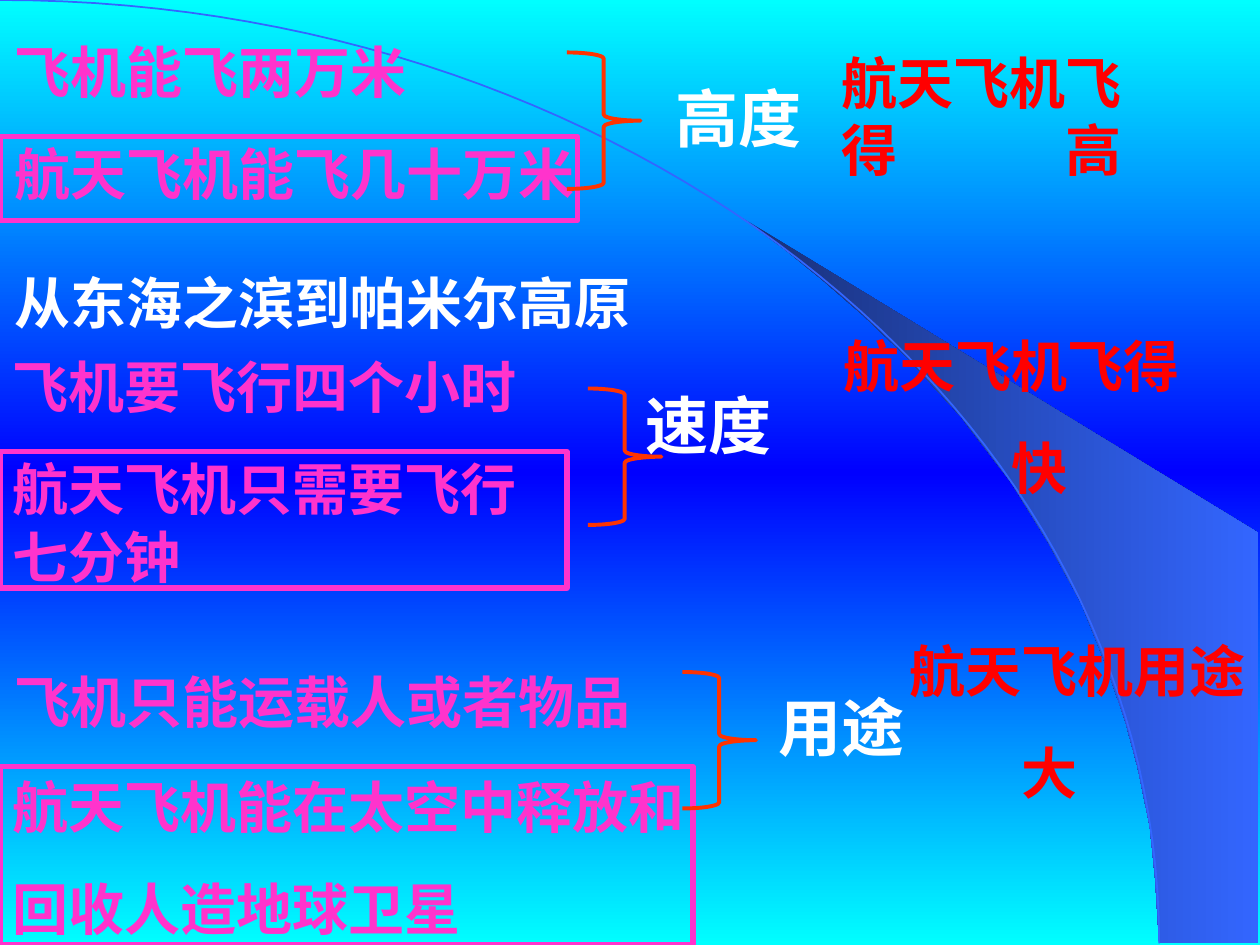
from copy import deepcopy
from pptx import Presentation
from pptx.dml.color import RGBColor
from pptx.enum.shapes import MSO_SHAPE as Shape
from pptx.enum.text import MSO_AUTO_SIZE as AutoSize
from pptx.oxml.ns import qn
from pptx.util import Pt
from lxml import etree

CYAN = RGBColor(0x00, 0xFF, 0xFF)
BLUE = RGBColor(0x00, 0x00, 0xFF)
NAVY = RGBColor(0x18, 0x2F, 0x76)
SKY = RGBColor(0x33, 0x66, 0xFF)
WHITE = RGBColor(0xFF, 0xFF, 0xFF)
PINK = RGBColor(0xFF, 0x33, 0xCC)
RED = RGBColor(0xFF, 0x00, 0x00)
ORANGE = RGBColor(0xFF, 0x33, 0x00)
FONT = "Times New Roman"
BODY, LABEL = 32, 36
GAP = 20
FINE = 100  # outline units per point

# Content: (left, top, width, height), size, colour, [(text, indent)]
TEXTS = [
    ((379, 42, 90, 50), LABEL, WHITE, [("高度", 0)]),
    ((362, 217.5, 90, 50), LABEL, WHITE, [("速度", 0)]),
    ((438, 390, 120, 50), LABEL, WHITE, [("用途", 0)]),
    ((1, 18, 340, 104.4), BODY, PINK,
     [("飞机能飞两万米", 0), ("航天飞机能飞几十万米", 0)]),
    ((1, 150, 372, 46), BODY, WHITE, [("从东海之滨到帕米尔高原", 0)]),
    ((0, 198, 312, 142.5), BODY, PINK,
     [("飞机要飞行四个小时", 0), ("航天飞机只需要飞行七分钟", 0)]),
    ((1, 378, 372, 46), BODY, PINK, [("飞机只能运载人或者物品", 0)]),
    ((0, 438, 672, 104.4), BODY, PINK,
     [("航天飞机能在太空中释放和", 0), ("回收人造地球卫星", 0)]),
    ((474, 24, 222, 84.2), BODY, RED, [("航天飞机飞\v得\t高", 0)]),
    ((475, 186, 212, 104.4), BODY, RED,
     [("航天飞机飞得", 0), ("快", 3 * BODY)]),
    ((512.5, 360, 207.5, 104.4), BODY, RED,
     [("航天飞机用途", 0), ("大", 2 * BODY)]),
]
FRAMES = [(0, 78, 330, 48), (0, 258, 324, 78), (0, 438, 396, 102)]
BRACES = [(324, 30), (336, 222), (390, 384)]
BRACE_SIZE = (42, 78)

# Background curve (Bezier control points) and the wedge beside it
ARC = [(0, 0), (366, 0), (662.4, 241), (662.4, 539)]
WEDGE = [(662.4, 539), (719, 539), (719, 304.5), (424, 124.5), (449, 143),
         (470, 160), (493, 180), (516, 202), (549, 238), (578, 276),
         (599, 310), (618, 345), (632, 380), (643, 412), (650, 438),
         (657, 472), (660, 501)]


def curve_points(controls, steps=60):
    p0, p1, p2, p3 = controls
    return [tuple((1 - t) ** 3 * a + 3 * (1 - t) ** 2 * t * b
                  + 3 * (1 - t) * t ** 2 * c + t ** 3 * d
                  for a, b, c, d in zip(p0, p1, p2, p3))
            for t in (i / steps for i in range(steps + 1))]


def add_outline(shapes, points, close):
    fine = [(round(x * FINE), round(y * FINE)) for x, y in points]
    builder = shapes.build_freeform(*fine[0], scale=Pt(1) / FINE)
    builder.add_line_segments(fine[1:], close=close)
    sp = builder.convert_to_shape()
    sp.shadow.inherit = False
    return sp


def set_stroke(sp, color, width):
    sp.shadow.inherit = False
    sp.fill.background()
    sp.line.color.rgb = color
    sp.line.width = Pt(width)


def set_stops(fill, stops):
    for stop, (position, color) in zip(fill.gradient_stops, stops):
        stop.position = position
        stop.color.rgb = color


def add_text(shapes, box, size, color, paragraphs):
    tf = shapes.add_textbox(*map(Pt, box)).text_frame
    tf.word_wrap = True
    tf.auto_size = AutoSize.SHAPE_TO_FIT_TEXT
    # Tight right inset leaves room for the full line
    tf.margin_right = Pt(2)
    look = {"name": FONT, "size": Pt(size), "bold": True}
    for i, (text, indent) in enumerate(paragraphs):
        p = tf.add_paragraph() if i else tf.paragraphs[0]
        p.text = text
        if i:
            p.space_before = Pt(GAP)
        pPr = p._p.get_or_add_pPr()
        if indent:
            pPr.set("marL", str(Pt(indent)))
        if "\t" in text:
            tabs = etree.SubElement(pPr, qn("a:tabLst"))
            etree.SubElement(tabs, qn("a:tab"), pos=str(Pt(4 * BODY)), algn="l")
        for r in p.runs:
            for key, value in look.items():
                setattr(r.font, key, value)
            r.font.color.rgb = color


def main():
    prs = Presentation()
    prs.slide_width, prs.slide_height = Pt(720), Pt(540)
    s = prs.slides.add_slide(prs.slide_layouts[6])
    shapes = s.shapes

    # Background: three-stop vertical gradient
    fill = s.background.fill
    fill.gradient()
    fill.gradient_angle = 270
    stop_list = s._element.find(".//" + qn("a:gsLst"))
    stop_list.append(deepcopy(stop_list[-1]))
    set_stops(fill, [(0, CYAN), (0.5, BLUE), (1, CYAN)])

    # Wedge and curve
    wedge = add_outline(shapes, WEDGE, True)
    wedge.line.fill.background()
    wedge.fill.gradient()
    wedge.fill.gradient_angle = 0
    set_stops(wedge.fill, [(0, NAVY), (1, SKY)])
    set_stroke(add_outline(shapes, curve_points(ARC), False), SKY, 1)

    # Wording
    for item in TEXTS:
        add_text(shapes, *item)

    # Frames and braces
    for box in FRAMES:
        set_stroke(shapes.add_shape(Shape.RECTANGLE, *map(Pt, box)), PINK, 3)
    for corner in BRACES:
        brace = shapes.add_shape(Shape.RIGHT_BRACE, *map(Pt, corner + BRACE_SIZE))
        set_stroke(brace, ORANGE, 2.25)

    prs.save("out.pptx")


if __name__ == "__main__":
    main()
